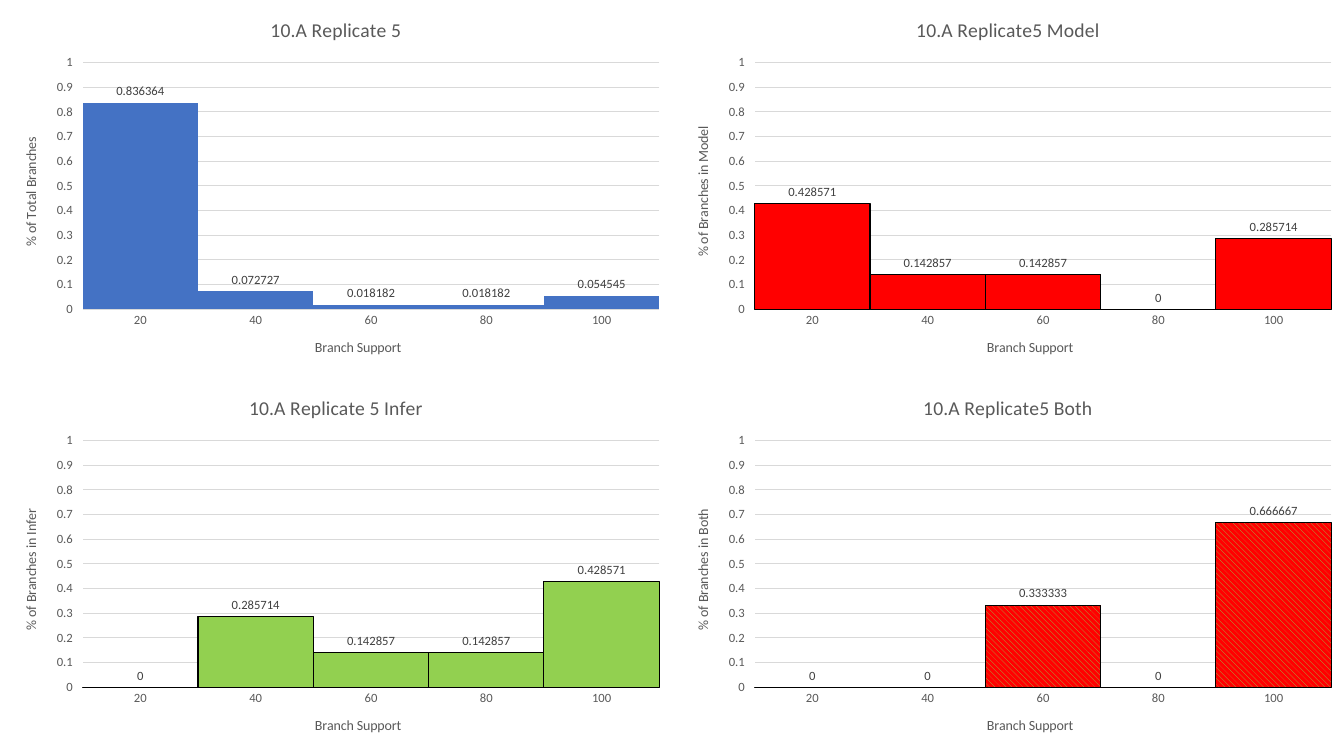
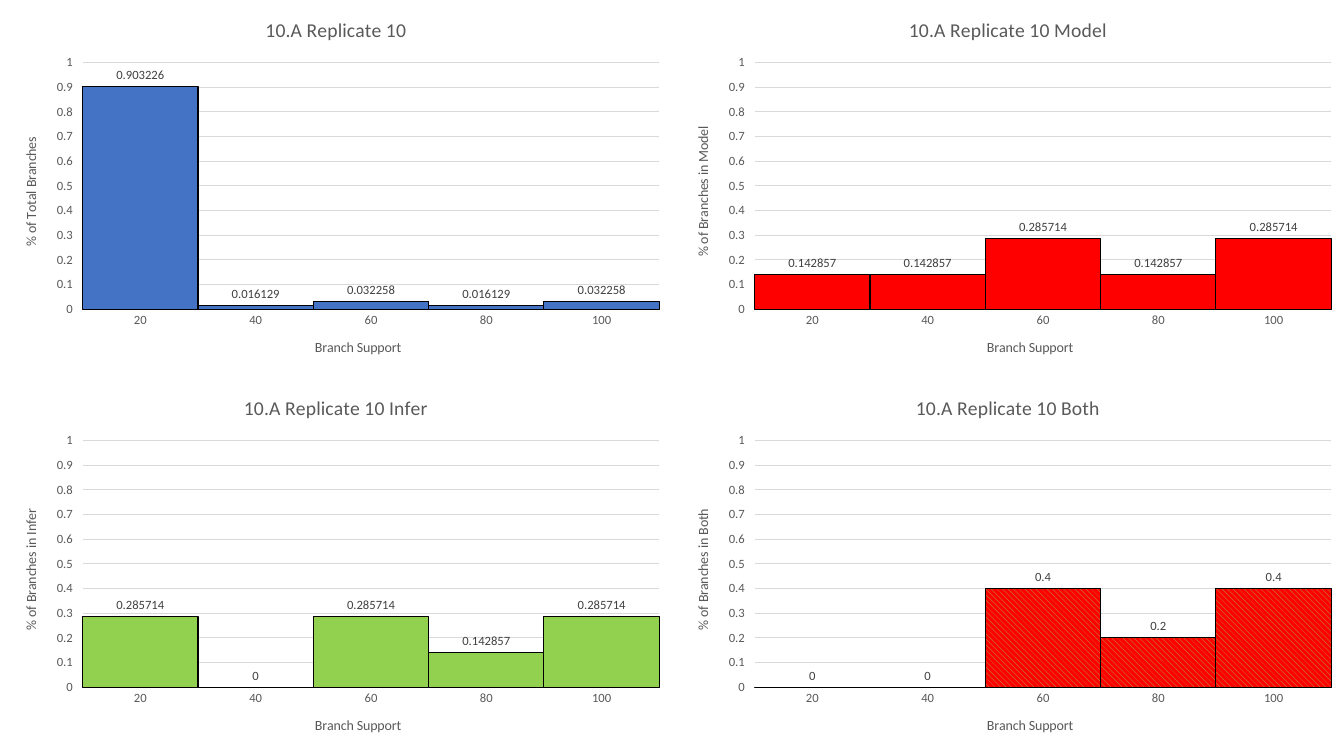
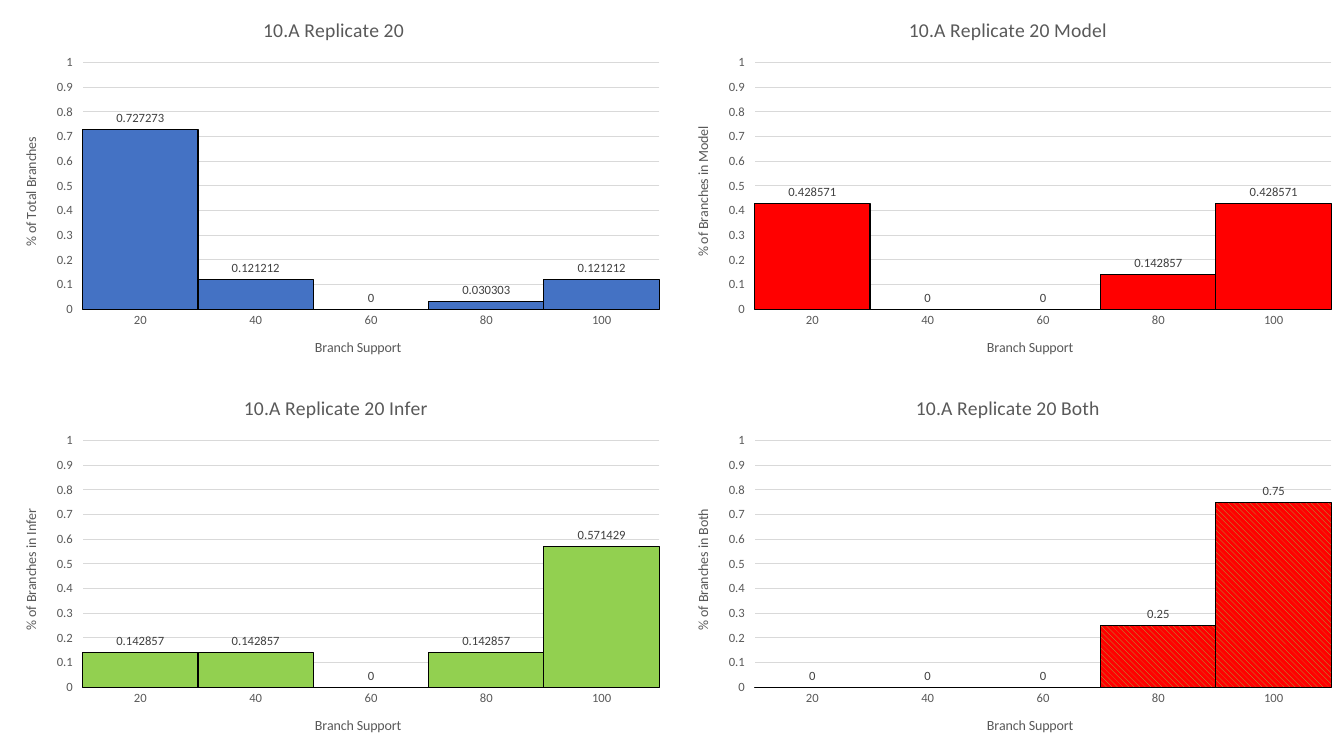
import dataclasses

import lxml.etree
import pptx
import pptx.chart.data
import pptx.dml.color
import pptx.enum.chart
import pptx.enum.dml
import pptx.oxml.ns
import pptx.util


@dataclasses.dataclass(frozen=True)
class Theme:
    font: str = "Calibri"
    title_size: float = 14
    axis_title_size: float = 10
    label_size: float = 9
    line_width: float = 0.75
    text: str = "595959"
    value_text: str = "404040"
    rule: str = "D9D9D9"
    outline: str = "000000"
    total: str = "4472C4"
    model: str = "FF0000"
    infer: str = "92D050"


@dataclasses.dataclass(frozen=True)
class Panel:
    column: int
    row: int
    axis_title: str
    fill: str
    stripe: str = ""


THEME = Theme()
SLIDE_WIDTH = pptx.util.Inches(13.33)
SLIDE_HEIGHT = pptx.util.Inches(7.5)
COLUMNS, ROWS = 2, 2
PLOT_LEFT, PLOT_TOP, PLOT_WIDTH, PLOT_HEIGHT = map(
    pptx.util.Inches, (0.82, 0.62, 5.72, 2.45))
SUPPORT_BINS = ("20", "40", "60", "80", "100")

PANELS = (
    Panel(0, 0, "% of Total Branches", THEME.total),
    Panel(1, 0, "% of Branches in Model", THEME.model),
    Panel(0, 1, "% of Branches in Infer", THEME.infer),
    Panel(1, 1, "% of Branches in Both", THEME.model, THEME.infer),
)

REPLICATES = (
    (
        ("10.A Replicate 5", (0.836364, 0.072727, 0.018182, 0.018182, 0.054545)),
        ("10.A Replicate5 Model", (0.428571, 0.142857, 0.142857, 0, 0.285714)),
        ("10.A Replicate 5 Infer", (0, 0.285714, 0.142857, 0.142857, 0.428571)),
        ("10.A Replicate5 Both", (0, 0, 0.333333, 0, 0.666667)),
    ),
    (
        ("10.A Replicate 10", (0.903226, 0.016129, 0.032258, 0.016129, 0.032258)),
        ("10.A Replicate 10 Model", (0.142857, 0.142857, 0.285714, 0.142857, 0.285714)),
        ("10.A Replicate 10 Infer", (0.285714, 0, 0.285714, 0.142857, 0.285714)),
        ("10.A Replicate 10 Both", (0, 0, 0.4, 0.2, 0.4)),
    ),
    (
        ("10.A Replicate 20 ", (0.727273, 0.121212, 0, 0.030303, 0.121212)),
        ("10.A Replicate 20 Model", (0.428571, 0, 0, 0.142857, 0.428571)),
        ("10.A Replicate 20 Infer", (0.142857, 0.142857, 0, 0.142857, 0.571429)),
        ("10.A Replicate 20 Both", (0, 0, 0, 0.25, 0.75)),
    ),
)
UNOUTLINED = {"10.A Replicate 5"}


def rgb(code):
    return pptx.dml.color.RGBColor.from_string(code)


def set_values(target, **values):
    for name, value in values.items():
        setattr(target, name, value)


def style_font(font, size, colour):
    set_values(font, name=THEME.font, size=pptx.util.Pt(size), bold=False)
    font.color.rgb = rgb(colour)


def style_line(line, colour):
    line.width = pptx.util.Pt(THEME.line_width)
    line.color.rgb = rgb(colour)


def write_title(title, text, size):
    para = title.text_frame.paragraphs[0]
    span = para.add_run()
    span.text = text
    style_font(span.font, size, THEME.text)


def place_plot(chart, width, height):
    qualified = pptx.oxml.ns.qn
    area = chart._chartSpace.chart.plotArea
    for former in area.findall(qualified("c:layout")):
        area.remove(former)
    layout = lxml.etree.Element(qualified("c:layout"))
    area.insert(0, layout)
    manual = lxml.etree.SubElement(layout, qualified("c:manualLayout"))
    settings = {
        "layoutTarget": "inner", "xMode": "edge", "yMode": "edge",
        "x": PLOT_LEFT / width, "y": PLOT_TOP / height,
        "w": PLOT_WIDTH / width, "h": PLOT_HEIGHT / height,
    }
    for name, setting in settings.items():
        lxml.etree.SubElement(manual, qualified(f"c:{name}")).set("val", str(setting))


def style_axes(chart, value_title):
    tick = pptx.enum.chart.XL_TICK_MARK
    category, value = chart.category_axis, chart.value_axis
    set_values(category, major_tick_mark=tick.NONE, minor_tick_mark=tick.NONE,
               has_major_gridlines=False)
    set_values(value, major_tick_mark=tick.OUTSIDE, minor_tick_mark=tick.NONE,
               has_major_gridlines=True, minimum_scale=0, maximum_scale=1, major_unit=0.1)
    style_line(category.format.line, THEME.rule)
    style_line(value.major_gridlines.format.line, THEME.rule)
    value.format.line.fill.background()
    for axis, text in ((category, "Branch Support"), (value, value_title)):
        style_font(axis.tick_labels.font, THEME.label_size, THEME.text)
        write_title(axis.axis_title, text, THEME.axis_title_size)
    turned = value.axis_title.text_frame._txBody.bodyPr
    for name, setting in {"rot": "-5400000", "vert": "horz"}.items():
        turned.set(name, setting)


def style_bars(plot, panel, outlined):
    set_values(plot, gap_width=0, vary_by_categories=False, has_data_labels=True)
    set_values(plot.data_labels, show_value=True,
               position=pptx.enum.chart.XL_LABEL_POSITION.OUTSIDE_END)
    style_font(plot.data_labels.font, THEME.label_size, THEME.value_text)
    bars = plot.series[0]
    bars.invert_if_negative = False
    fill = bars.format.fill
    if panel.stripe:
        fill.patterned()
        fill.pattern = pptx.enum.dml.MSO_PATTERN.WIDE_DOWNWARD_DIAGONAL
        fill.fore_color.rgb = rgb(panel.stripe)
        fill.back_color.rgb = rgb(panel.fill)
    else:
        fill.solid()
        fill.fore_color.rgb = rgb(panel.fill)
    if outlined:
        style_line(bars.format.line, THEME.outline)
    else:
        bars.format.line.fill.background()


def add_histogram(page, box, panel, title, shares):
    data = pptx.chart.data.CategoryChartData()
    data.categories = SUPPORT_BINS
    data.add_series("Series 1", shares)
    chart = page.shapes.add_chart(
        pptx.enum.chart.XL_CHART_TYPE.COLUMN_CLUSTERED, *box, data).chart
    set_values(chart, has_legend=False, has_title=True)
    style_font(chart.font, THEME.axis_title_size, THEME.outline)
    write_title(chart.chart_title, title, THEME.title_size)
    place_plot(chart, *box[2:])
    style_axes(chart, panel.axis_title)
    style_bars(chart.plots[0], panel, title not in UNOUTLINED)


def add_replicate_page(deck, histograms):
    page = deck.slides.add_slide(deck.slide_layouts.get_by_name("Blank"))
    width, height = deck.slide_width // COLUMNS, deck.slide_height // ROWS
    for panel, (title, shares) in zip(PANELS, histograms):
        box = (panel.column * width, panel.row * height, width, height)
        add_histogram(page, box, panel, title, shares)


def main():
    deck = pptx.Presentation()
    set_values(deck, slide_width=SLIDE_WIDTH, slide_height=SLIDE_HEIGHT)
    for histograms in REPLICATES:
        add_replicate_page(deck, histograms)
    deck.save("out.pptx")


if __name__ == "__main__":
    main()
